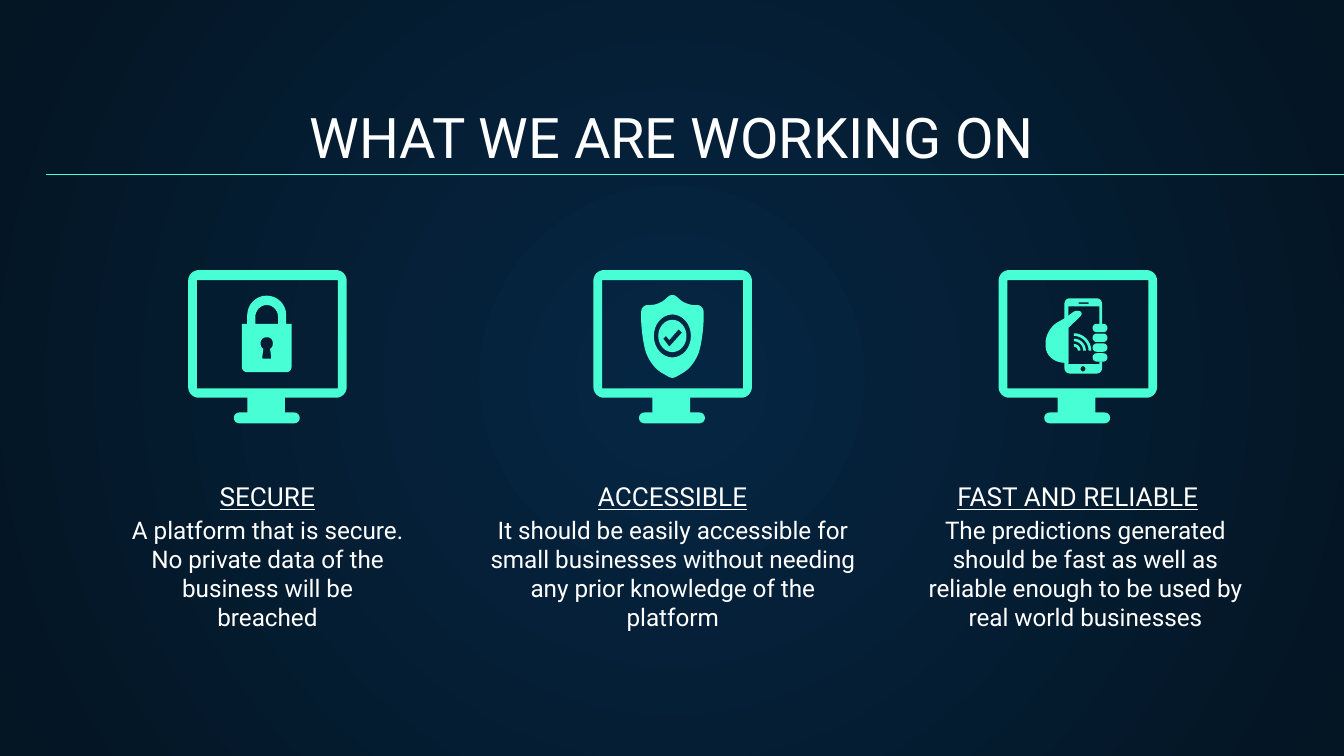
from math import hypot

from lxml import etree
from pptx import Presentation
from pptx.dml.color import RGBColor
from pptx.enum.shapes import MSO_CONNECTOR
from pptx.enum.text import MSO_ANCHOR, MSO_AUTO_SIZE, PP_ALIGN
from pptx.oxml.ns import qn
from pptx.util import Inches, Pt

NAVY = RGBColor(0x05, 0x26, 0x43)
NIGHT = RGBColor(0x04, 0x15, 0x23)
MINT = RGBColor(0x48, 0xFF, 0xD5)
WHITE = RGBColor(0xFF, 0xFF, 0xFF)
FONT = "Roboto"

COLS, ROWS = 100, 56.25  # grid cells of a tenth of an inch
FIRST_LEFT, STEP, ICON_TOP = 14, 30.15, 20.1
ICON_W, HEAD_W = 11.8, 24.6


def cells(n):
    return Inches(n / 10)


def box(x, y, w, h, r=0):
    return [(x, y, r), (x + w, y, r), (x + w, y + h, r), (x, y + h, r)]


def rounded(corners, steps=8):
    """Turn corners (x, y[, radius]) into a polygon with rounded corners."""
    corners = [(*c, 0)[:3] for c in corners]
    points = []
    for i, (x, y, r) in enumerate(corners):
        if not r:
            points.append((x, y))
            continue
        ends = []
        for nx, ny, nr in (corners[i - 1], corners[(i + 1) % len(corners)]):
            share = min(r / hypot(nx - x, ny - y), 0.5 if nr else 1)
            ends.append(((nx - x) * share, (ny - y) * share))
        (ax, ay), (bx, by) = ends
        for k in range(steps + 1):
            t = k / steps
            a = (1 - t) ** 3 + 3 * (1 - t) ** 2 * t * 0.45
            b = t ** 3 + 3 * t ** 2 * (1 - t) * 0.45
            points.append((x + a * ax + b * bx, y + a * ay + b * by))
    return points


def signal_arc(x, y, r):
    inner = r - 0.2
    return [(x, y - r), (x + r, y - r, r), (x + r, y),
            (x + inner, y), (x + inner, y - inner, inner), (x, y - inner)]


# Each icon is a list of shapes, each shape a list of outlines and holes,
# measured in cells from the top left of its monitor.
MONITOR = [
    [(0, 0, 0.8), (11.8, 0, 0.8), (11.8, 9.5, 0.8), (7.2, 9.5), (7.2, 10.6),
     (8.3, 10.6, 0.4), (8.3, 11.4, 0.4), (3.4, 11.4, 0.4), (3.4, 10.6, 0.4),
     (4.4, 10.6), (4.4, 9.5), (0, 9.5, 0.8)],
    box(0.65, 0.75, 10.5, 8.05),
]
PADLOCK = [[
    [(4, 4), (4.4, 4), (4.4, 1.9, 1.45), (7.3, 1.9, 1.45), (7.3, 4), (7.7, 4),
     (7.7, 7.6, 0.4), (4, 7.6, 0.4)],
    [(5, 4), (5, 2.6, 0.9), (6.7, 2.6, 0.9), (6.7, 4)],
    [(5.4, 5, 0.4), (6.3, 5, 0.4), (6.3, 5.8, 0.3), (6.1, 5.85),
     (6.2, 6.6, 0.1), (5.5, 6.6, 0.1), (5.6, 5.85), (5.4, 5.8, 0.3)],
]]
SHIELD = [[
    [(5.88, 1.7, 0.4), (6.9, 2.6, 0.6), (8.2, 2.6, 0.5), (8.2, 4.8, 2),
     (7.6, 7.1, 1.4), (5.88, 8.1, 0.3), (4.16, 7.1, 1.4), (3.56, 4.8, 2),
     (3.56, 2.6, 0.5), (4.86, 2.6, 0.6)],
    box(4.5, 3.3, 2.76, 3.2, 2),
    box(4.83, 3.7, 2.1, 2.4, 2),
    [(5.2, 5.1), (5.4, 4.9), (5.65, 5.2), (6.35, 4.4), (6.6, 4.65),
     (5.65, 5.7)],
]]
PHONE_IN_HAND = [
    [[(4.9, 2.1, 0.4), (7.7, 2.1, 0.4), (7.7, 4), (7.5, 4), (7.5, 2.7),
      (5.2, 2.7), (5.2, 7), (7.5, 7), (7.5, 6.8), (7.7, 6.8),
      (7.7, 7.7, 0.4), (4.9, 7.7, 0.4)],
     box(5.95, 2.4, 0.75, 0.12), box(6.1, 7.15, 0.36, 0.4, 1)],
    [[(4.9, 3.6), (5.8, 2.95, 0.3), (6.35, 3.2, 0.4), (5.2, 4.3), (5.2, 6.9),
      (3.5, 6.9, 1.4), (3.5, 4.4, 1)]],
    [box(7, 4 + 0.73 * i, 1.1, 0.62, 0.3) for i in range(4)],
    [signal_arc(5.6, 6, r) for r in (1.3, 0.9, 0.5)],
]

# icon, heading, body left, body width, body text
GOALS = [
    (PADLOCK, "SECURE", 8.7, 22.4,
     "A platform that is secure. No private data of the business will be "
     "breached"),
    (SHIELD, "ACCESSIBLE", 35.3, 29.5,
     "It should be easily accessible for small businesses without needing "
     "any prior knowledge of the platform"),
    (PHONE_IN_HAND, "FAST AND RELIABLE", 67.9, 25.7,
     "The predictions generated should be fast as well as reliable enough "
     "to be used by real world businesses"),
]


class Deck:
    def __init__(self):
        self.prs = Presentation()
        self.prs.slide_width, self.prs.slide_height = cells(COLS), cells(ROWS)
        self.s = self.prs.slides.add_slide(self.prs.slide_layouts[5])

    def background(self, centre, edge):
        fill = self.s.background.fill
        fill.gradient()
        for stop, color in zip(fill.gradient_stops, (centre, edge)):
            stop.color.rgb = color
        first, last = fill.gradient_stops
        first.position, last.position = 0, 1
        grad = self.s.element.find(".//" + qn("a:gradFill"))
        grad.remove(grad.find(qn("a:lin")))
        circle = etree.SubElement(grad, qn("a:path"), {"path": "circle"})
        etree.SubElement(circle, qn("a:fillToRect"),
                         {side: "50000" for side in "ltrb"})

    def fill_text(self, sp, at, text, size, anchor, underline=False):
        sp.left, sp.top, sp.width, sp.height = map(cells, at)
        tf = sp.text_frame
        tf.text = text
        tf.word_wrap, tf.auto_size = True, MSO_AUTO_SIZE.NONE
        tf.vertical_anchor = anchor
        tf.margin_left = tf.margin_right = cells(1)
        tf.margin_top = tf.margin_bottom = cells(1)
        p = tf.paragraphs[0]
        p.alignment = PP_ALIGN.CENTER
        p.font.name, p.font.size = FONT, Pt(size)
        p.font.color.rgb = WHITE
        if underline:
            p.font.underline = True

    def title(self, at, text):
        self.fill_text(self.s.shapes.title, at, text, 30, MSO_ANCHOR.BOTTOM)

    def text(self, at, text, size, anchor=MSO_ANCHOR.TOP, underline=False):
        sp = self.s.shapes.add_textbox(0, 0, 0, 0)
        self.fill_text(sp, at, text, size, anchor, underline)

    def rule(self, x1, x2, y):
        line = self.s.shapes.add_connector(
            MSO_CONNECTOR.STRAIGHT, cells(x1), cells(y), cells(x2), cells(y))
        line.line.color.rgb, line.line.width = MINT, Pt(0.75)
        etree.SubElement(line.element.spPr, qn("a:effectLst"))

    def outline(self, left, top, contours):
        """Draw one filled shape; contours inside others become holes."""
        builder = None
        for contour in contours:
            start, *rest = [(cells(left + x), cells(top + y))
                            for x, y in rounded(contour)]
            if builder is None:
                builder = self.s.shapes.build_freeform(*start)
            else:
                builder.move_to(*start)
            builder.add_line_segments(rest, close=True)
        sp = builder.convert_to_shape()
        sp.shadow.inherit = False
        sp.fill.solid()
        sp.fill.fore_color.rgb = MINT
        sp.line.fill.background()


def main():
    deck = Deck()
    deck.background(NAVY, NIGHT)
    deck.title((3.4, 7, 93.2, 6.6), "WHAT WE ARE WORKING ON")
    deck.rule(3.4, COLS, 13)
    for i, (icon, heading, body_left, body_w, body) in enumerate(GOALS):
        left = FIRST_LEFT + i * STEP
        for contours in [MONITOR, *icon]:
            deck.outline(left, ICON_TOP, contours)
        deck.text((left + (ICON_W - HEAD_W) / 2, 35.2, HEAD_W, 3.9), heading,
                  14, MSO_ANCHOR.BOTTOM, underline=True)
        deck.text((body_left, 37.3, body_w, 11.9), body, 13)
    deck.prs.save("out.pptx")


if __name__ == "__main__":
    main()
